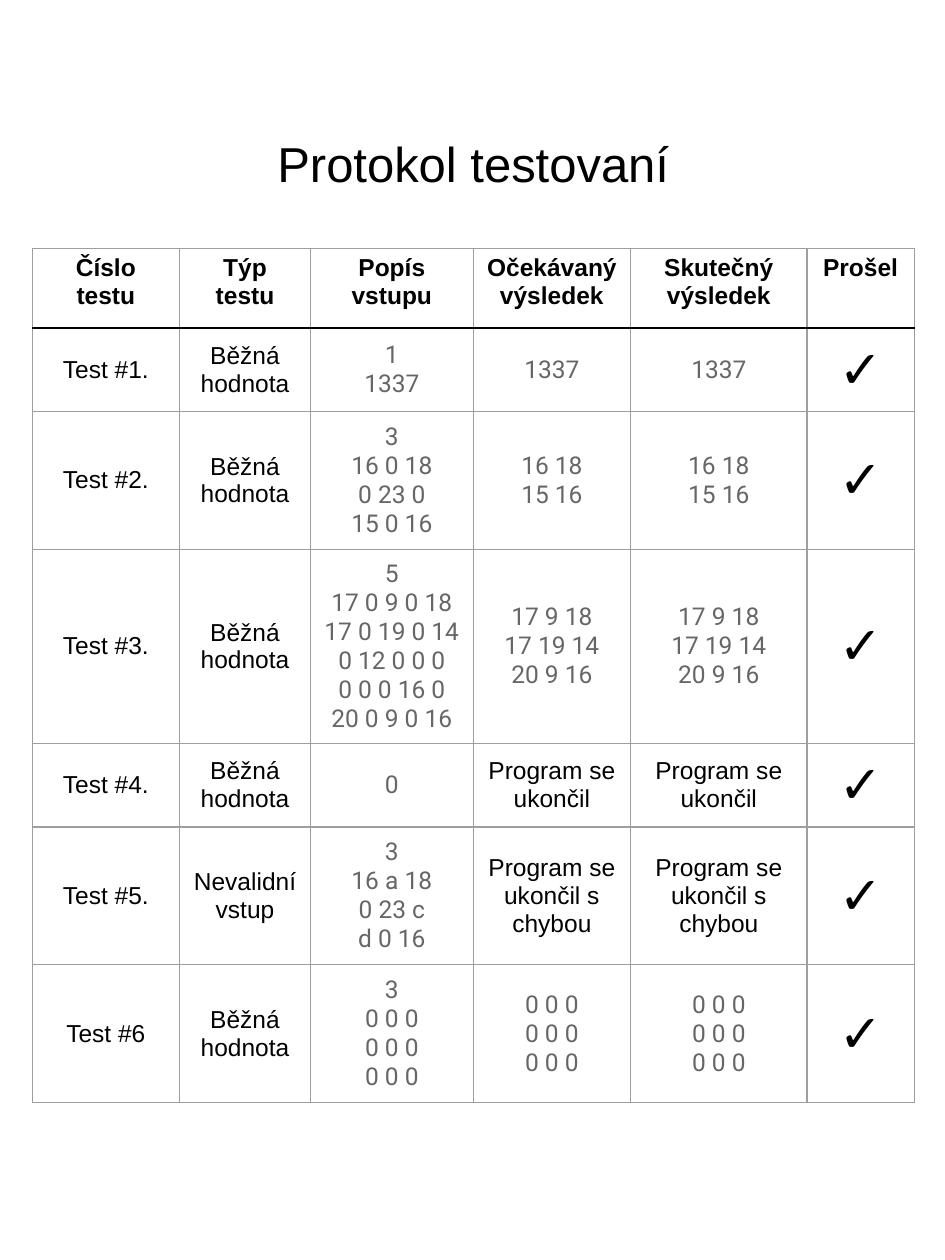
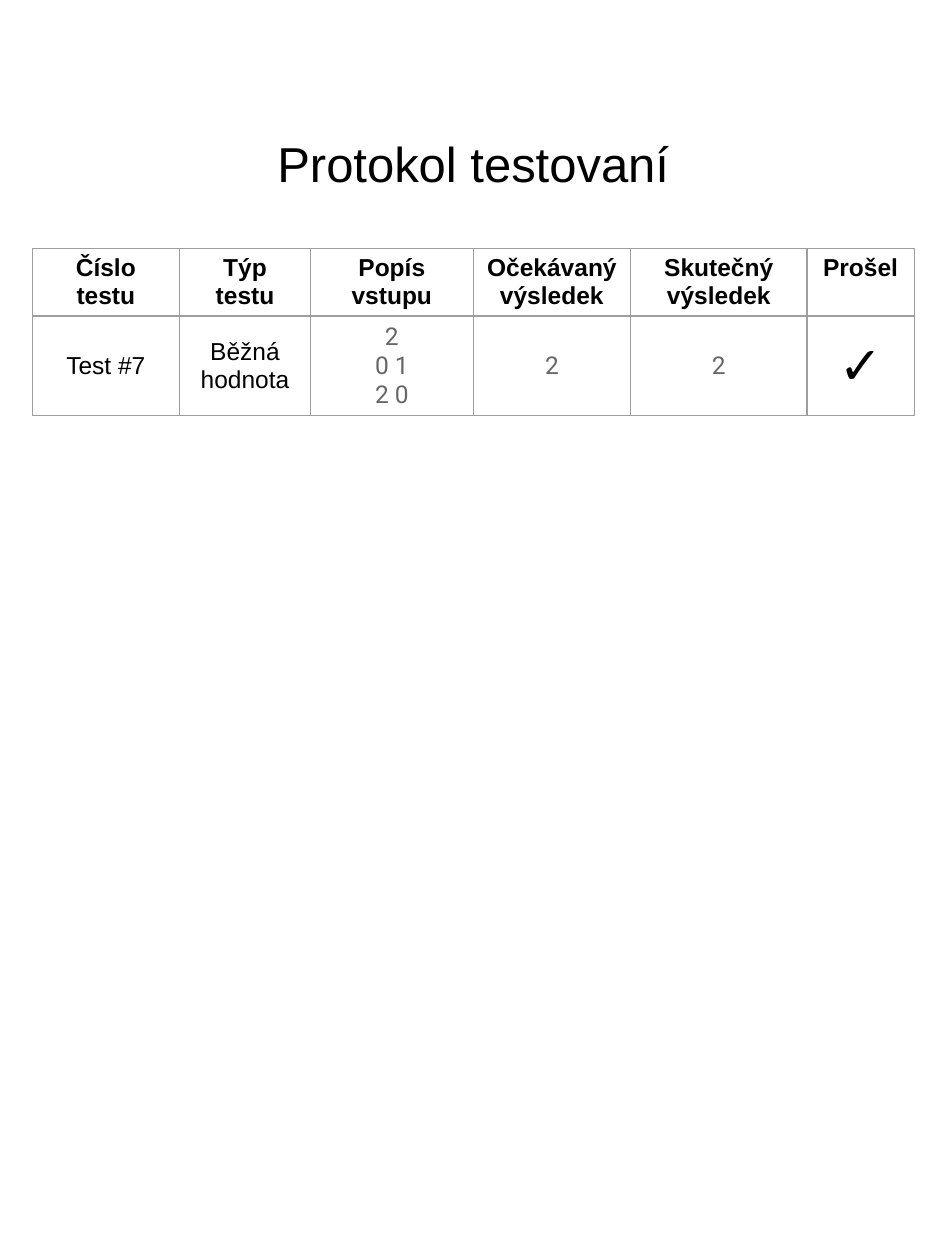
from lxml import etree
from pptx import Presentation
from pptx.dml.color import RGBColor
from pptx.enum import text
from pptx.oxml.ns import qn
from pptx.util import Pt

BLACK = RGBColor(0x00, 0x00, 0x00)
DATA_GREY = RGBColor(0x66, 0x66, 0x66)
GRID_GREY = RGBColor(0x9E, 0x9E, 0x9E)

LEFT, WIDTH = 18.4, 504
TITLE_TOP, TITLE_HEIGHT = 62.3, 79.5
TABLE_TOP = TITLE_TOP + TITLE_HEIGHT
COLUMN_WIDTHS = [84.2, 74.9, 92.9, 90, 100.8, 61.2]

TITLE = "Protokol testovaní"
HEADINGS = ["Číslo testu", "Týp testu", "Popís vstupu",
            "Očekávaný výsledek", "Skutečný výsledek", "Prošel"]
COMMON = "Běžná hodnota"
PASSED = "✓"
GRID = (GRID_GREY, 0.75)
HEADER_RULE = (BLACK, 1.47)

# Each test: number, kind, input paragraphs, result (expected and actual agree)
FIRST_TESTS = [
    ("Test #1.", COMMON, ["1", "1337"], "1337"),
    ("Test #2.", COMMON, ["3", "16 0 18\n0 23 0\n15 0 16"], "16 18\n15 16"),
    ("Test #3.", COMMON,
     ["5", "17 0 9 0 18\n17 0 19 0 14\n0 12 0 0 0\n0 0 0 16 0\n20 0 9 0 16"],
     "17 9 18\n17 19 14\n20 9 16"),
    ("Test #4.", COMMON, ["0"], "Program se ukončil"),
    ("Test #5.", "Nevalidní vstup", ["3", "16 a 18\n0 23 c\nd 0 16"],
     "Program se ukončil s chybou"),
    ("Test #6", COMMON, ["3", "0 0 0\n0 0 0\n0 0 0"], "0 0 0\n0 0 0\n0 0 0"),
]
LAST_TESTS = [("Test #7", COMMON, ["2", "0 1", "2 0"], "2")]
FIRST_HEIGHTS = [45.8, 47.6, 78.8, 110.8, 47.9, 78.8, 78.8]
LAST_HEIGHTS = [38.8, 57]


def write(frame, paragraphs, size=14, font="Arial", color=BLACK, bold=False):
    """Write centred paragraphs; a newline inside one is a line break."""
    frame.word_wrap = True
    for index, content in enumerate(paragraphs):
        para = frame.add_paragraph() if index else frame.paragraphs[0]
        para.text = content
        para.alignment = text.PP_ALIGN.CENTER
        for span in para.runs:
            span.font.size = Pt(size)
            span.font.name = font
            span.font.bold = bold
            span.font.color.rgb = color
        for line_break in para._p.findall(qn("a:br")):
            etree.SubElement(line_break, qn("a:rPr"), sz=str(size * 100))


def set_borders(cell, top, bottom):
    properties = cell._tc.get_or_add_tcPr()
    sides = {"a:lnL": GRID, "a:lnR": GRID, "a:lnT": top, "a:lnB": bottom}
    for side, (color, width) in sides.items():
        line = etree.SubElement(properties, qn(side), w=str(Pt(width)))
        fill = etree.SubElement(line, qn("a:solidFill"))
        etree.SubElement(fill, qn("a:srgbClr"), val=str(color))


def add_title(page):
    title = page.shapes.title
    title.left, title.top = Pt(LEFT), Pt(TITLE_TOP)
    title.width, title.height = Pt(WIDTH), Pt(TITLE_HEIGHT)
    frame = title.text_frame
    frame.auto_size = text.MSO_AUTO_SIZE.NONE
    frame.vertical_anchor = text.MSO_ANCHOR.TOP
    frame.margin_left = frame.margin_right = Pt(13.7)
    frame.margin_top = frame.margin_bottom = Pt(13.7)
    write(frame, [TITLE], size=28)


def fill_test_row(cells, number, kind, inputs, result):
    data = {"font": "Roboto", "color": DATA_GREY}
    result_format = {} if result.startswith("Program") else data
    entries = [([number], {}), ([kind], {}), (inputs, data),
               ([result], result_format), ([result], result_format),
               ([PASSED], {"size": 30})]
    for cell, (paragraphs, style) in zip(cells, entries):
        write(cell.text_frame, paragraphs, **style)
        cell.vertical_anchor = text.MSO_ANCHOR.MIDDLE


def add_test_table(page, tests, heights, header_rule):
    frame = page.shapes.add_table(len(heights), len(HEADINGS), Pt(LEFT),
                                  Pt(TABLE_TOP), Pt(WIDTH), Pt(sum(heights)))
    table = frame.table
    table.first_row = table.horz_banding = False
    for column, width in zip(table.columns, COLUMN_WIDTHS):
        column.width = Pt(width)
    for index, (row, height) in enumerate(zip(table.rows, heights)):
        row.height = Pt(height)
        for cell in row.cells:
            set_borders(cell, top=header_rule if index == 1 else GRID,
                        bottom=header_rule if index == 0 else GRID)
            cell.fill.background()
    for cell, heading in zip(table.rows[0].cells, HEADINGS):
        write(cell.text_frame, [heading], bold=True)
    for row, test in zip(list(table.rows)[1:], tests):
        fill_test_row(row.cells, *test)


def main():
    deck = Presentation()
    deck.slide_width, deck.slide_height = Pt(540), Pt(720)
    title_only = deck.slide_layouts[5]
    for tests, heights, header_rule in [
            (FIRST_TESTS, FIRST_HEIGHTS, HEADER_RULE),
            (LAST_TESTS, LAST_HEIGHTS, GRID)]:
        page = deck.slides.add_slide(title_only)
        add_title(page)
        add_test_table(page, tests, heights, header_rule)
    deck.save("out.pptx")


if __name__ == "__main__":
    main()
